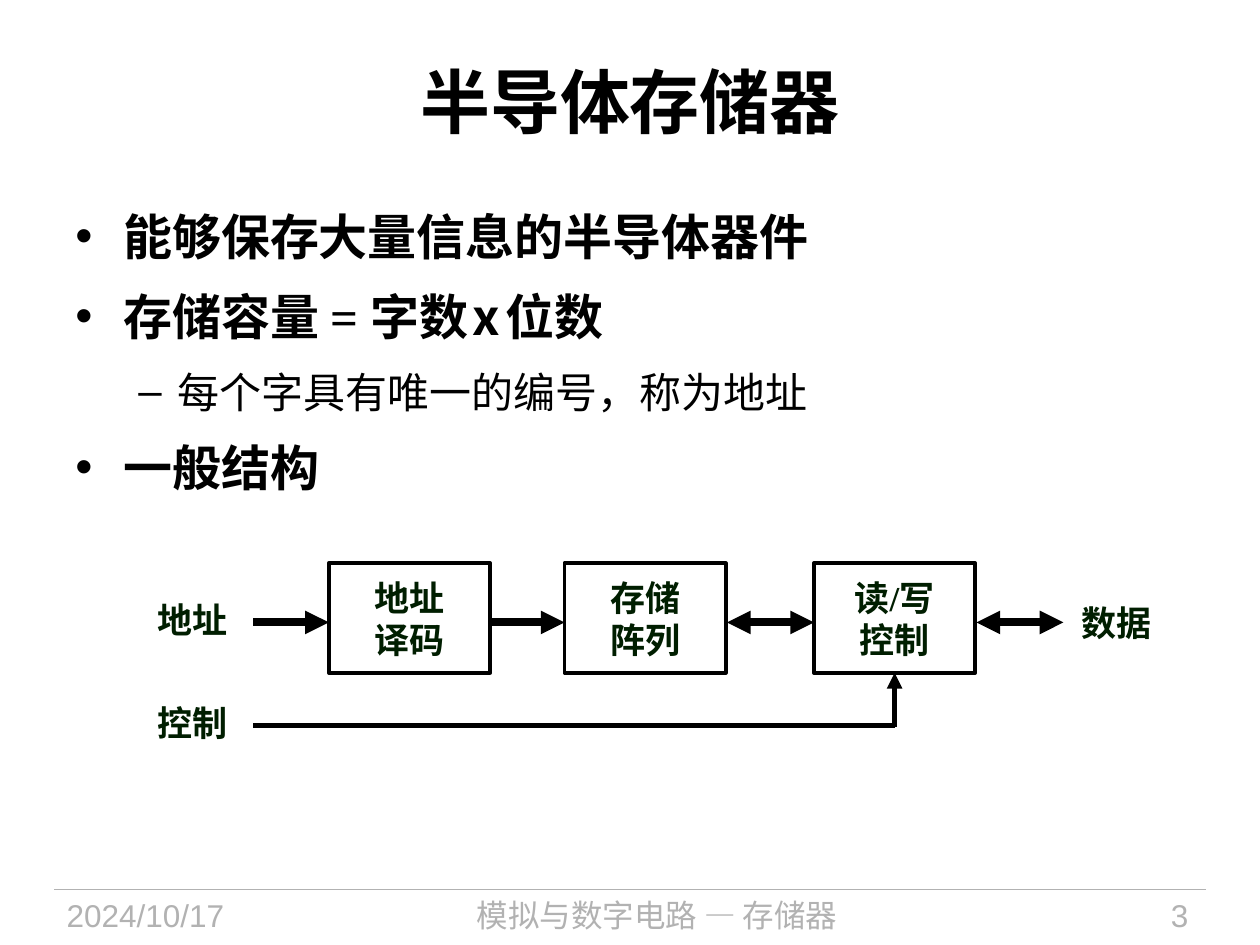
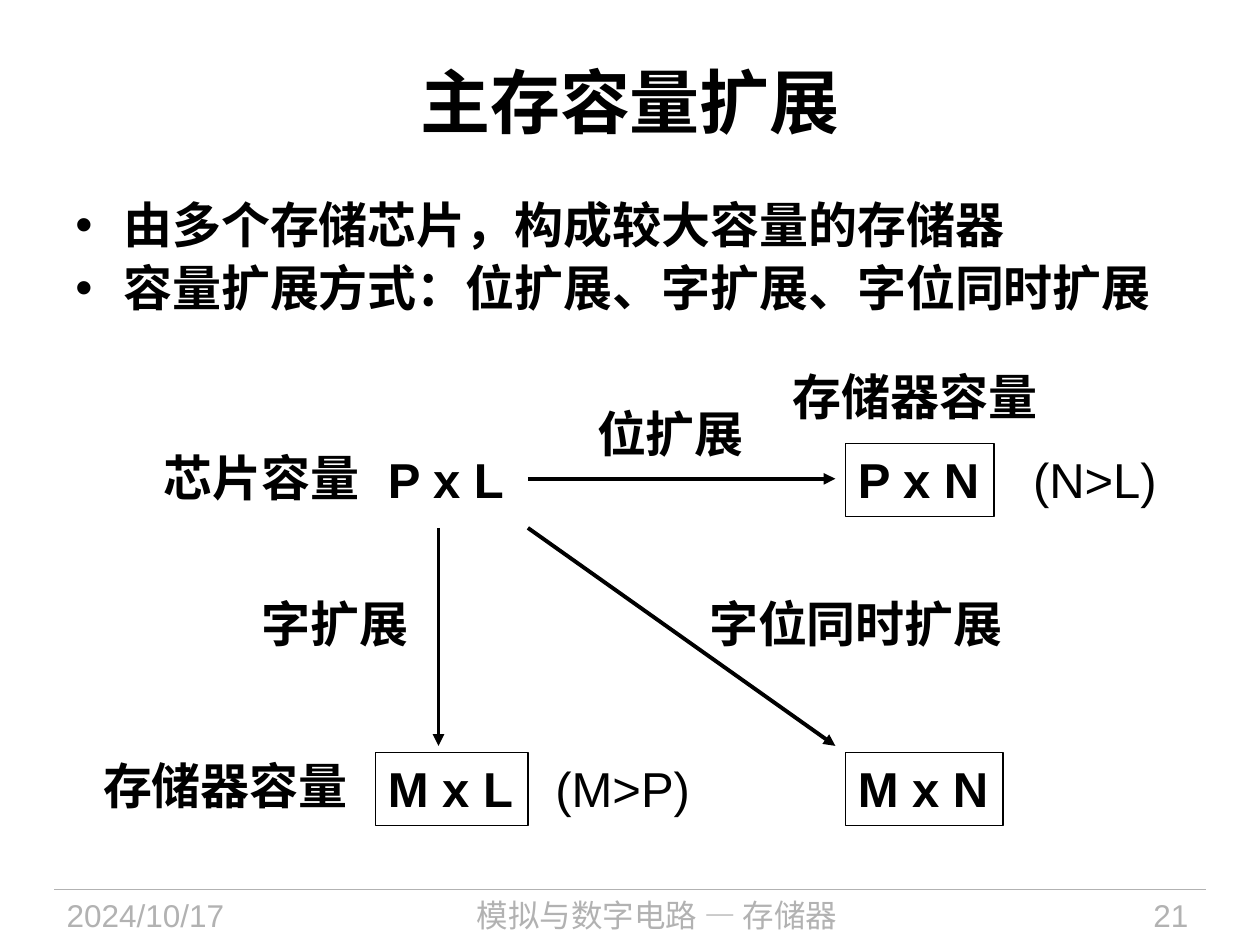
from dataclasses import dataclass

import lxml.etree
import pptx
import pptx.dml.color
import pptx.enum.shapes
import pptx.enum.text
import pptx.oxml.ns
import pptx.util

Inches = pptx.util.Inches
Pt = pptx.util.Pt
qn = pptx.oxml.ns.qn
ALIGN = pptx.enum.text.PP_ALIGN
ANCHOR = pptx.enum.text.MSO_ANCHOR
STRAIGHT = pptx.enum.shapes.MSO_CONNECTOR.STRAIGHT


@dataclass(frozen=True)
class Theme:
    ink: str = "000000"
    diagram_ink: str = "001E00"
    muted: str = "B2B2B2"
    sans: str = "Arial"
    serif: str = "Times New Roman"
    cjk: str = "Noto Sans CJK SC"
    title_size: int = 40
    body_size: int = 28
    detail_size: int = 24
    block_size: int = 20
    footer_size: int = 18
    gap_size: int = 12


THEME = Theme()
# Bullet character, left margin and hanging indent of each outline level
LEVELS = [("•", 0.38, 0.38), ("–", 0.81, 0.31)]


def rgb(color):
    return pptx.dml.color.RGBColor.from_string(color)


def style_run(run, size, font, color=THEME.ink, bold=False):
    run.font.size = Pt(size)
    run.font.bold = bold
    run.font.color.rgb = rgb(color)
    run.font.name = font
    latin = run.font._element.find(qn("a:latin"))
    east_asian = lxml.etree.Element(qn("a:ea"), typeface=THEME.cjk)
    latin.addnext(east_asian)


def fill_frame(frame, text, size, font, color=THEME.ink, bold=False,
               align=ALIGN.LEFT, anchor=ANCHOR.TOP, wrap=False, inset=None,
               line_spacing=None):
    frame.text = text
    frame.word_wrap = wrap
    frame.vertical_anchor = anchor
    if inset is not None:
        frame.margin_left = frame.margin_right = Inches(inset)
        frame.margin_top = frame.margin_bottom = Inches(inset)
    for paragraph in frame.paragraphs:
        paragraph.alignment = align
        if line_spacing:
            paragraph.line_spacing = line_spacing
        for run in paragraph.runs:
            style_run(run, size, font, color, bold)


def add_text(slide, box, text, size, font, **style):
    label = slide.shapes.add_textbox(*map(Inches, box))
    fill_frame(label.text_frame, text, size, font, **style)


def add_box(slide, box, text, size, font, border, **style):
    """Outlined rectangle with bold text."""
    rectangle = slide.shapes.add_shape(
        pptx.enum.shapes.MSO_SHAPE.RECTANGLE, *map(Inches, box))
    rectangle.shadow.inherit = False
    rectangle.fill.background()
    rectangle.line.color.rgb = rgb(THEME.ink)
    rectangle.line.width = Pt(border)
    fill_frame(rectangle.text_frame, text, size, font, bold=True, **style)
    return rectangle


def add_line(slide, start, end, width, color=THEME.ink, arrows=()):
    """Straight line; arrows names the ends that get a head."""
    line = slide.shapes.add_connector(STRAIGHT, *map(Inches, (*start, *end)))
    line.line.color.rgb = rgb(color)
    line.line.width = Pt(width)
    outline = line.line._get_or_add_ln()
    for tag in ("headEnd", "tailEnd"):
        if tag in arrows:
            lxml.etree.SubElement(outline, qn(f"a:{tag}"), type="triangle")
    lxml.etree.SubElement(line._element.spPr, qn("a:effectLst"))
    return line


def add_outline(slide, box, items, space_after, line_spacing=None):
    """Bulleted list; each item is a level and its (text, size, font, bold) runs."""
    frame = slide.shapes.add_textbox(*map(Inches, box)).text_frame
    frame.word_wrap = True
    for index, (level, pieces) in enumerate(items):
        paragraph = frame.add_paragraph() if index else frame.paragraphs[0]
        paragraph.level = level
        paragraph.space_after = Pt(space_after)
        if line_spacing:
            paragraph.line_spacing = line_spacing
        mark, margin, hanging = LEVELS[level]
        properties = paragraph._p.get_or_add_pPr()
        properties.set("marL", str(Inches(margin)))
        properties.set("indent", str(-Inches(hanging)))
        lxml.etree.SubElement(properties, qn("a:buFont"), typeface=THEME.sans)
        lxml.etree.SubElement(properties, qn("a:buChar"), char=mark)
        for text, size, font, bold in pieces:
            run = paragraph.add_run()
            run.text = text
            style_run(run, size, font, bold=bold)


def add_page(deck, title, number):
    """New slide with the shared title and footer."""
    slide = deck.slides.add_slide(deck.slide_layouts[6])
    add_line(slide, (0.43, 7.06), (9.57, 7.06), 0.75, THEME.muted)
    footers = [
        (0.43, 1.88, "2024/10/17", THEME.sans, ALIGN.LEFT),
        (2.4, 5.63, "模拟与数字电路 — 存储器", THEME.cjk, ALIGN.CENTER),
        (8.2, 1.33, str(number), THEME.sans, ALIGN.RIGHT),
    ]
    for left, width, text, font, align in footers:
        add_text(slide, (left, 7.06, width, 0.44), text, THEME.footer_size, font,
                 color=THEME.muted, align=align, wrap=True)
    add_text(slide, (0.5, 0.17, 9, 1.25), title, THEME.title_size, THEME.serif,
             bold=True, align=ALIGN.CENTER, anchor=ANCHOR.MIDDLE, wrap=True)
    return slide


def heading(text, font=THEME.cjk, size=THEME.body_size):
    return (text, size, font, True)


def build_memory_slide(deck):
    slide = add_page(deck, "半导体存储器", 3)
    gap = heading(" ", size=THEME.gap_size)
    add_outline(slide, (0.5, 1.59, 8.99, 2.36), [
        (0, [heading("能够保存大量信息的半导体器件")]),
        (0, [heading("存储容量 "), heading("= ", THEME.serif), heading("字数"),
             gap, heading("x"), gap, heading("位数")]),
        (1, [("每个字具有唯一的编号，称为地址", THEME.detail_size, THEME.cjk, False)]),
        (0, [heading("一般结构")]),
    ], space_after=12)

    blocks = [
        add_box(slide, (left, 4.47, 1.28, 0.87), text, THEME.block_size,
                THEME.serif, 2.25, color=THEME.diagram_ink, align=ALIGN.CENTER,
                anchor=ANCHOR.MIDDLE, inset=0)
        for left, text in [(2.61, "地址\n译码"), (4.48, "存储\n阵列"),
                           (6.46, "读/写\n控制")]
    ]
    for left, top, text, font in [(1.25, 4.75, "地址", THEME.sans),
                                  (1.25, 5.57, "控制", THEME.serif),
                                  (8.58, 4.77, "数据", THEME.sans)]:
        add_text(slide, (left, top, 0.56, 0.33), text, THEME.block_size, font,
                 color=THEME.diagram_ink, bold=True, inset=0)

    one_way, two_way = ("tailEnd",), ("headEnd", "tailEnd")
    bus_y = 4.94
    for start, end, arrows in [(2.01, 2.61, one_way), (3.89, 4.48, one_way),
                               (5.77, 6.46, two_way), (7.75, 8.44, two_way)]:
        add_line(slide, (start, bus_y), (end, bus_y), 4.5, arrows=arrows)
    add_line(slide, (2.01, 5.76), (7.1, 5.76), 3)
    control = add_line(slide, (7.1, 5.77), (7.1, 5.34), 3, arrows=one_way)
    control.end_connect(blocks[-1], 2)


def build_expansion_slide(deck):
    slide = add_page(deck, "主存容量扩展", 21)
    add_outline(slide, (0.5, 1.55, 9, 1.97), [
        (0, [heading(text, THEME.serif)])
        for text in ("由多个存储芯片，构成较大容量的存储器",
                     "容量扩展方式：位扩展、字扩展、字位同时扩展")
    ], space_after=5.6, line_spacing=0.9)

    for left, top, width, text in [(6.71, 3.52, 1.18, "P x N"),
                                   (2.98, 5.97, 1.21, "M x L"),
                                   (6.71, 5.97, 1.25, "M x N")]:
        add_box(slide, (left, top, width, 0.58), text, THEME.body_size,
                THEME.sans, 0.75)
    for left, top, width, text, bold in [
        (2.98, 3.52, 1.13, "P x L", True),
        (1.2, 3.5, 1.76, "芯片容量", True),
        (4.64, 3.15, 1.37, "位扩展", True),
        (1.98, 4.66, 1.37, "字扩展", True),
        (5.53, 4.66, 2.55, "字位同时扩展", True),
        (8.1, 3.52, 1.19, "(N>L)", False),
        (4.31, 5.97, 1.27, "(M>P)", False),
    ]:
        add_text(slide, (left, top, width, 0.57), text, THEME.body_size,
                 THEME.sans, bold=bold)
    for left, top in [(6.19, 2.91), (0.72, 6)]:
        add_text(slide, (left, top, 2.2, 0.52), "存储器容量", THEME.body_size,
                 THEME.sans, bold=True, wrap=True, line_spacing=0.9)

    for start, end in [((4.19, 3.8), (6.63, 3.8)),
                       ((3.48, 4.19), (3.48, 5.92)),
                       ((4.19, 4.19), (6.63, 5.92))]:
        add_line(slide, start, end, 2.25, arrows=("tailEnd",))


def main():
    deck = pptx.Presentation()
    deck.slide_width, deck.slide_height = Inches(10), Inches(7.5)
    build_memory_slide(deck)
    build_expansion_slide(deck)
    deck.save("out.pptx")


if __name__ == "__main__":
    main()
